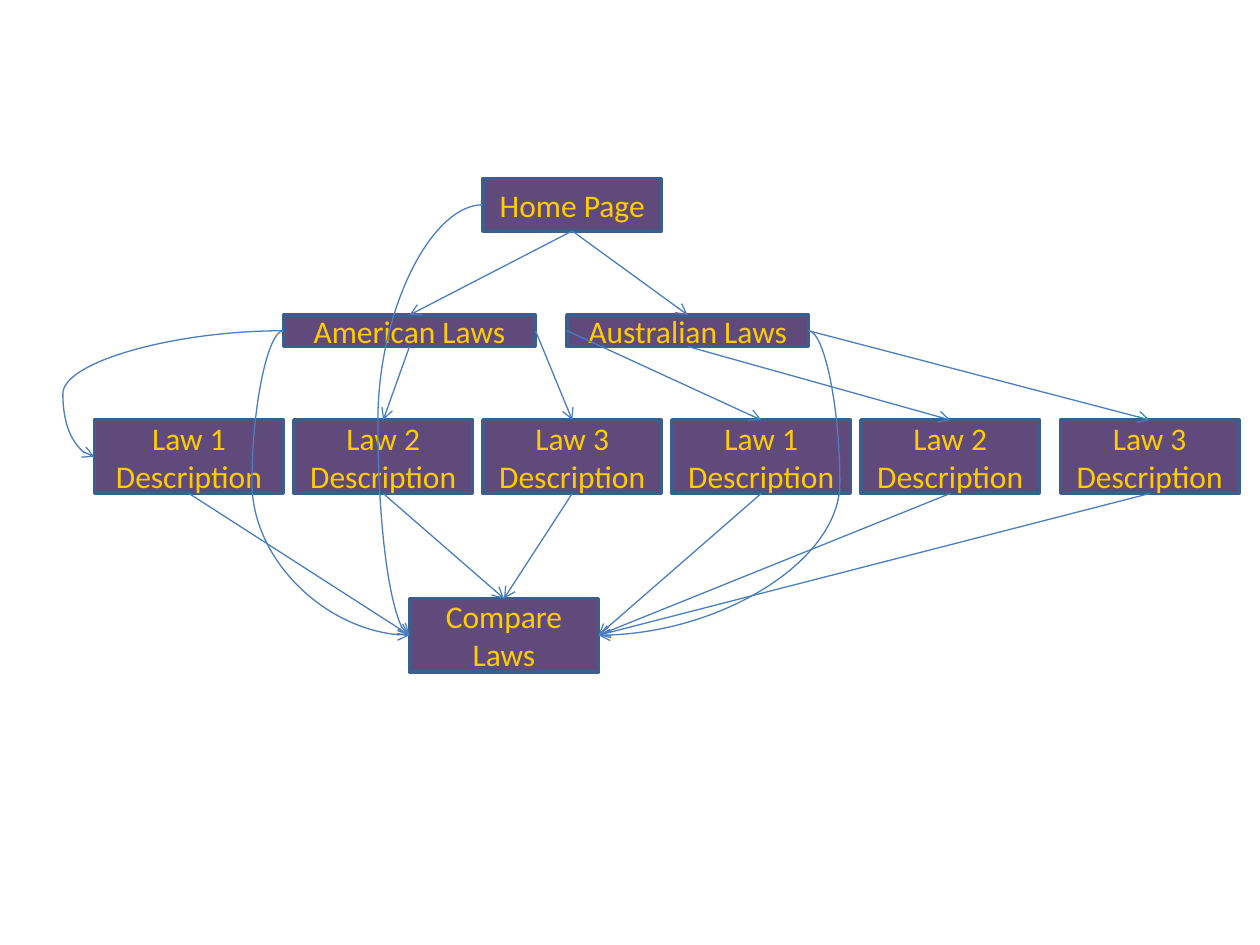
from pptx import Presentation
from pptx.util import Pt
from pptx.dml.color import RGBColor
from pptx.enum.shapes import MSO_CONNECTOR, MSO_SHAPE
from pptx.enum.text import MSO_ANCHOR, PP_ALIGN
from lxml.etree import SubElement
from pptx.oxml.ns import qn

TOP, LEFT, BOTTOM, RIGHT = range(4)


def color(value):
    return RGBColor.from_string(value)


def link(start, start_side, end, end_side, bend_x=None):
    """Join two boxes with an arrow; bend_x makes it a curve through that x."""
    kind = MSO_CONNECTOR.STRAIGHT if bend_x is None else MSO_CONNECTOR.CURVE
    arrow = page.shapes.add_connector(kind, 0, 0, 0, 0)
    arrow.begin_connect(start, start_side)
    arrow.end_connect(end, end_side)
    arrow.line.color.rgb = color("4B7EBC")
    arrow.line.width = Pt(0.75)
    SubElement(arrow.line._get_or_add_ln(), qn("a:tailEnd"), type="arrow")
    properties = arrow._element.spPr
    SubElement(properties, qn("a:effectLst"))
    if bend_x is not None:
        ratio = (Pt(bend_x) - arrow.begin_x) / (arrow.end_x - arrow.begin_x)
        guides = properties.find(qn("a:prstGeom")).get_or_add_avLst()
        SubElement(guides, qn("a:gd"), name="adj1", fmla=f"val {round(ratio * 100000)}")


deck = Presentation()
deck.slide_width, deck.slide_height = Pt(720), Pt(540)
page = deck.slides.add_slide(deck.slide_layouts[6])

# Boxes: key, text, left, top, width, height
layout = [
    ("home", "Home Page", 276, 102, 102, 30),
    ("american", "American Laws", 162, 180, 144, 18),
    ("australian", "Australian Laws", 324, 180, 138, 18),
]
columns = [(54, 108), (168, 102), (276, 102), (384, 102), (492, 102), (606, 102)]
for index, (left, width) in enumerate(columns):
    layout.append((index, f"Law {index % 3 + 1} Description", left, 240, width, 42))
layout.append(("compare", "Compare Laws", 234, 342, 108, 42))

boxes = {}
for key, text, left, top, width, height in layout:
    box = page.shapes.add_shape(
        MSO_SHAPE.RECTANGLE, Pt(left), Pt(top), Pt(width), Pt(height))
    box.shadow.inherit = False
    box.fill.solid()
    box.fill.fore_color.rgb = color("604A7B")
    box.line.color.rgb = color("3A5F8C")
    box.line.width = Pt(2)
    frame = box.text_frame
    frame.text = text
    frame.word_wrap = True
    frame.vertical_anchor = MSO_ANCHOR.MIDDLE
    para = frame.paragraphs[0]
    para.alignment = PP_ALIGN.CENTER
    span = para.runs[0]
    span.font.name = "Calibri"
    span.font.size = Pt(18)
    span.font.color.rgb = color("FFCC00")
    boxes[key] = box

home, american, australian, compare = (
    boxes[key] for key in ("home", "american", "australian", "compare"))

# Curved shortcuts to the comparison page
link(home, LEFT, compare, LEFT, 216)
link(american, LEFT, compare, LEFT, 144)
link(australian, RIGHT, compare, RIGHT, 480)

# Descriptions to the comparison page
for index, side in enumerate([LEFT, TOP, TOP, RIGHT, RIGHT, RIGHT]):
    link(boxes[index], BOTTOM, compare, side)

# Home page to the two countries
for country in (american, australian):
    link(home, BOTTOM, country, TOP)

# Countries to their descriptions
link(american, BOTTOM, boxes[1], TOP)
link(american, RIGHT, boxes[2], TOP)
for index, side in enumerate([LEFT, BOTTOM, RIGHT], start=3):
    link(australian, side, boxes[index], TOP)
link(american, LEFT, boxes[0], LEFT, 36)

deck.save("out.pptx")
